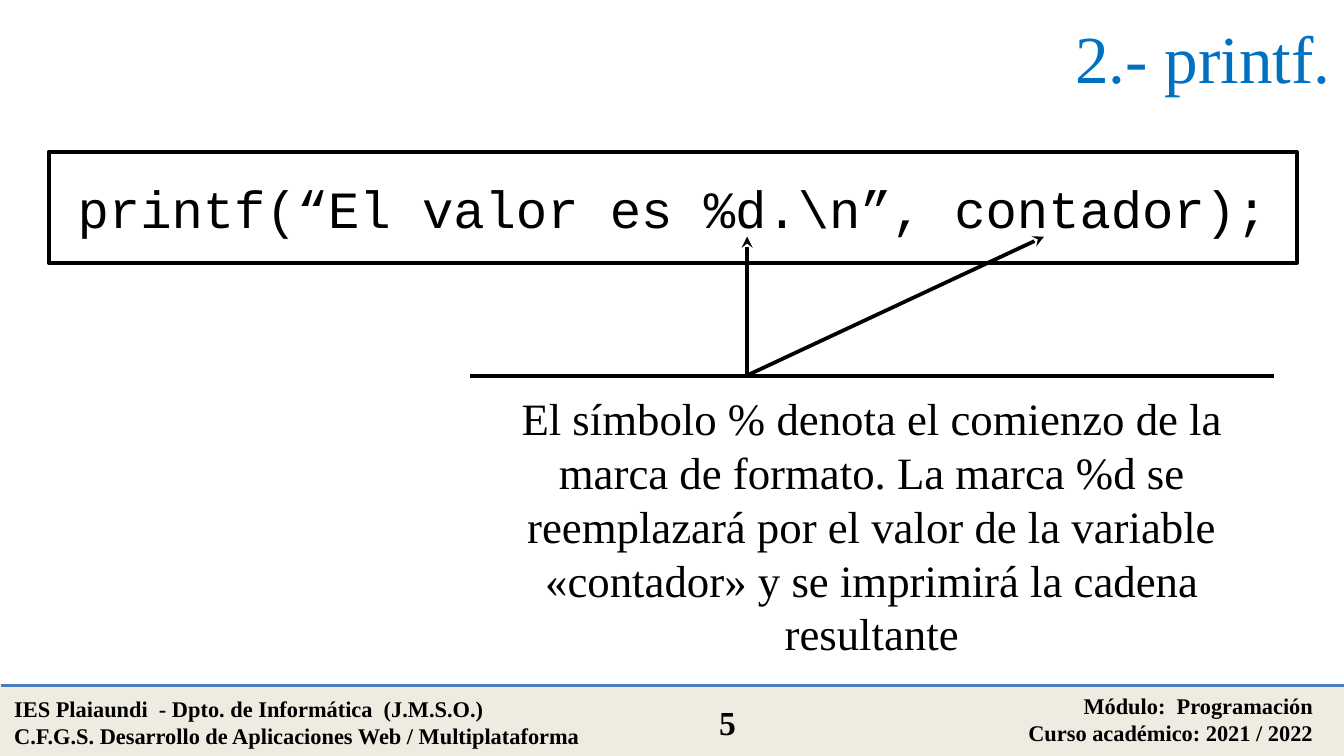
import dataclasses
import typing

import lxml.etree
import pptx
import pptx.dml.color
import pptx.enum.shapes
import pptx.enum.text
import pptx.oxml.ns
import pptx.slide
import pptx.util

Align = pptx.enum.text.PP_ALIGN
Anchor = pptx.enum.text.MSO_ANCHOR


@dataclasses.dataclass(frozen=True)
class Theme:
    black: str = "000000"
    white: str = "FFFFFF"
    title_blue: str = "0070C0"
    rule_blue: str = "4B7EBC"
    footer_fill: str = "EEECE1"
    serif: str = "Times New Roman"
    mono: str = "Courier New"
    title_size: int = 36
    code_size: int = 28
    body_size: int = 24
    number_size: int = 18
    footer_size: int = 12
    line_width: int = 2


THEME = Theme()


class Box(typing.NamedTuple):
    left: float
    top: float
    width: float
    height: float


@dataclasses.dataclass(frozen=True)
class Label:
    text: str
    box: Box
    size: int
    alignment: Align = Align.CENTER
    anchor: Anchor = Anchor.TOP
    font: str = THEME.serif
    color: str = THEME.black
    bold: bool = False


@dataclasses.dataclass(frozen=True)
class Line:
    start: tuple[float, float]
    end: tuple[float, float]
    color: str = THEME.black
    arrow: bool = False


def rgb(color: str) -> pptx.dml.color.RGBColor:
    return pptx.dml.color.RGBColor.from_string(color)


def lengths(values: typing.Iterable[float]) -> list[pptx.util.Length]:
    return [pptx.util.Cm(value) for value in values]


def write_text(shape: typing.Any, label: Label) -> None:
    frame = shape.text_frame
    frame.word_wrap = True
    frame.vertical_anchor = label.anchor
    frame.text = label.text
    for paragraph in frame.paragraphs:
        paragraph.alignment = label.alignment
        for run in paragraph.runs:
            run.font.name = label.font
            run.font.size = pptx.util.Pt(label.size)
            run.font.bold = label.bold
            run.font.color.rgb = rgb(label.color)


def add_label(slide: pptx.slide.Slide, label: Label) -> None:
    write_text(slide.shapes.add_textbox(*lengths(label.box)), label)


def add_rectangle(slide: pptx.slide.Slide, box: Box, fill: str, outline: str) -> typing.Any:
    shape = slide.shapes.add_shape(
        pptx.enum.shapes.MSO_SHAPE.RECTANGLE, *lengths(box)
    )
    shape.shadow.inherit = False
    shape.fill.solid()
    shape.fill.fore_color.rgb = rgb(fill)
    shape.line.color.rgb = rgb(outline)
    shape.line.width = pptx.util.Pt(THEME.line_width)
    return shape


def add_line(slide: pptx.slide.Slide, line: Line) -> None:
    connector = slide.shapes.add_connector(
        pptx.enum.shapes.MSO_CONNECTOR.STRAIGHT, *lengths(line.start + line.end)
    )
    connector.line.color.rgb = rgb(line.color)
    connector.line.width = pptx.util.Pt(THEME.line_width)
    qualified = pptx.oxml.ns.qn
    if line.arrow:
        outline = connector.line._get_or_add_ln()
        lxml.etree.SubElement(outline, qualified("a:tailEnd"), type="stealth")
    properties = connector._element.spPr
    lxml.etree.SubElement(properties, qualified("a:effectLst"))


SLIDE_WIDTH, SLIDE_HEIGHT = 25.4, 14.28
FOOTER_TOP = 12.95
FOOTER = Box(0.02, FOOTER_TOP, SLIDE_WIDTH, 1.32)
RULE_TOP, RULE_LEFT, RULE_RIGHT = 7.1, 8.88, 24.07
ARROW_START = (14.12, 7.09)
ARROW_TIP_TOP = 4.47

LABELS = [
    Label(
        "IES Plaiaundi  - Dpto. de Informática  (J.M.S.O.)\n"
        "C.F.G.S. Desarrollo de Aplicaciones Web / Multiplataforma",
        Box(0.02, 13.0, 11.84, 1.28),
        THEME.footer_size,
        Align.LEFT,
        bold=True,
    ),
    Label(
        "Módulo:  Programación\nCurso académico: 2021 / 2022",
        Box(14.91, FOOTER_TOP, 10.16, 1.28),
        THEME.footer_size,
        Align.RIGHT,
        bold=True,
    ),
    Label("5", Box(12.72, 13.14, 2.06, 1.03), THEME.number_size, bold=True),
    Label(
        "2.- printf.",
        Box(3.35, 0, 22.05, 2.13),
        THEME.title_size,
        Align.RIGHT,
        Anchor.MIDDLE,
        color=THEME.title_blue,
    ),
    Label(
        "El símbolo % denota el comienzo de la marca de formato. "
        "La marca %d se reemplazará por el valor de la variable "
        "«contador» y se imprimirá la cadena resultante",
        Box(RULE_LEFT, 7.26, RULE_RIGHT - RULE_LEFT, 5.38),
        THEME.body_size,
    ),
]

CODE = Label(
    r"printf(“El valor es %d.\n”, contador);",
    Box(0.92, 2.87, 23.59, 2.1),
    THEME.code_size,
    anchor=Anchor.MIDDLE,
    font=THEME.mono,
)

LINES = [
    Line(
        (FOOTER.left, FOOTER_TOP),
        (FOOTER.left + FOOTER.width, FOOTER_TOP),
        THEME.rule_blue,
    ),
    Line((RULE_LEFT, RULE_TOP), (RULE_RIGHT, RULE_TOP)),
    Line(ARROW_START, (ARROW_START[0], ARROW_TIP_TOP), arrow=True),
    Line(ARROW_START, (19.73, ARROW_TIP_TOP), arrow=True),
]


def main() -> None:
    presentation = pptx.Presentation()
    presentation.slide_width, presentation.slide_height = lengths(
        (SLIDE_WIDTH, SLIDE_HEIGHT)
    )
    slide = presentation.slides.add_slide(presentation.slide_layouts[6])
    add_rectangle(slide, FOOTER, THEME.footer_fill, THEME.footer_fill)
    write_text(add_rectangle(slide, CODE.box, THEME.white, THEME.black), CODE)
    for label in LABELS:
        add_label(slide, label)
    for line in LINES:
        add_line(slide, line)
    presentation.save("out.pptx")


if __name__ == "__main__":
    main()
